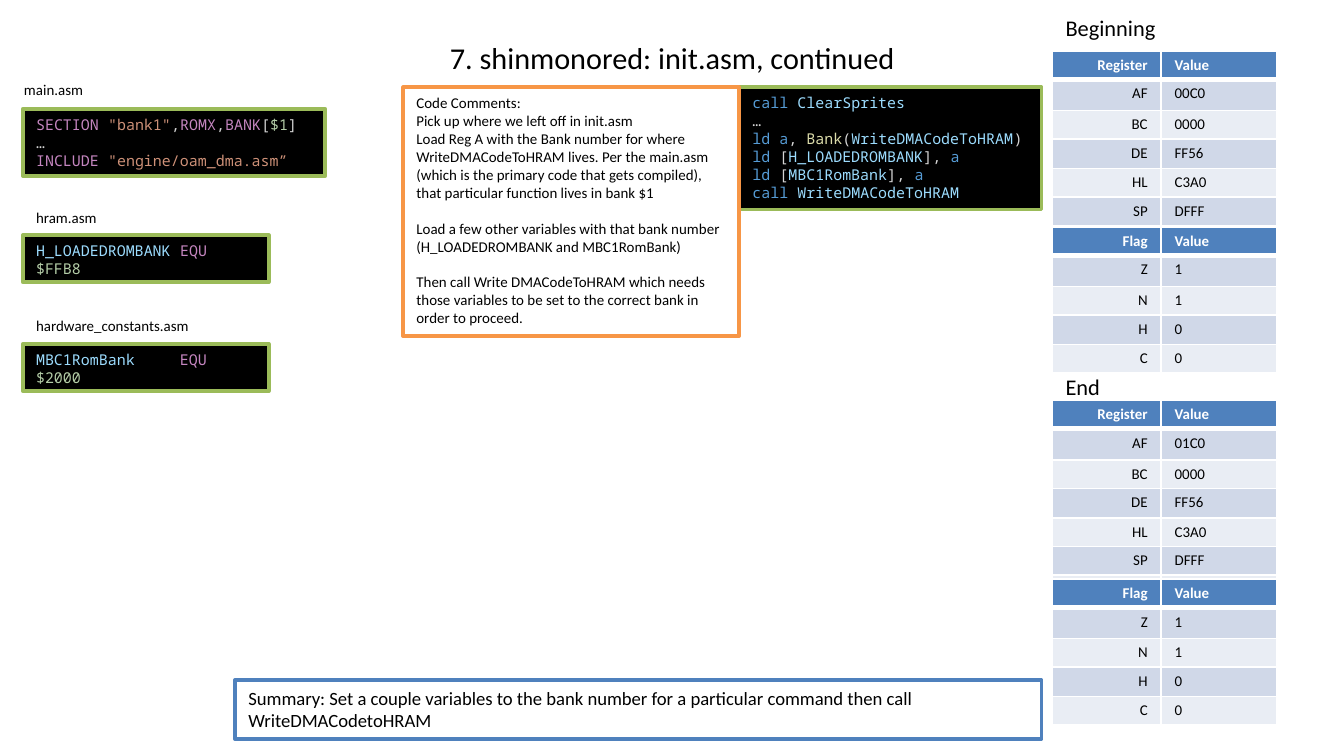
"""Build a slide on assembly start-up code with register and flag tables."""
from lxml import etree
from pptx import Presentation
from pptx.dml.color import RGBColor
from pptx.enum.shapes import MSO_SHAPE
from pptx.enum.text import MSO_ANCHOR, MSO_AUTO_SIZE, PP_ALIGN
from pptx.oxml.ns import qn
from pptx.util import Inches, Pt

RECTANGLE = MSO_SHAPE.RECTANGLE
TOP, MIDDLE = MSO_ANCHOR.TOP, MSO_ANCHOR.MIDDLE
FIT_SHAPE, NO_FIT = MSO_AUTO_SIZE.SHAPE_TO_FIT_TEXT, MSO_AUTO_SIZE.NONE
LEFT, CENTER, RIGHT = PP_ALIGN.LEFT, PP_ALIGN.CENTER, PP_ALIGN.RIGHT
SANS, MONO = "Calibri", "Noto Sans Mono"
COLORS = {
    "black": "000000", "white": "FFFFFF", "blue": "4F81BD", "green": "9BBB59",
    "orange": "F79646", "dark band": "D0D8E8", "light band": "E9EDF4",
    "keyword": "569CD6", "name": "9CDCFE", "plain": "D4D4D4", "function": "DCDCAA",
    "directive": "C586C0", "string": "CE9178", "number": "B5CEA8",
}


def add_run(paragraph, text, color, size=8, font=SANS, bold=False):
    run = paragraph.add_run()
    run.text = text
    run.font.name = font
    run.font.size = Pt(size)
    run.font.bold = bold
    run.font.color.rgb = RGBColor.from_string(COLORS[color])


def add_border(cell, side, width):
    line = etree.SubElement(cell._tc.get_or_add_tcPr(), qn(f"a:{side}"), w=str(Pt(width)))
    fill = etree.SubElement(line, qn("a:solidFill"))
    etree.SubElement(fill, qn("a:srgbClr"), val=COLORS["white"])


presentation = Presentation()
presentation.slide_width = Inches(10)
presentation.slide_height = Inches(10) * 9 // 16
slide = presentation.slides.add_slide(presentation.slide_layouts[5])

title = slide.shapes.title
title.left, title.top, title.width, title.height = map(Inches, (0.5, 0.23, 9, 0.4))
title.text_frame.auto_size = NO_FIT
title.text_frame.vertical_anchor = MIDDLE
title.text_frame.paragraphs[0].alignment = CENTER
add_run(title.text_frame.paragraphs[0], "7. shinmonored: init.asm, continued", "black", 16.2)

flags = [("Flag", "Value"), ("Z", "1"), ("N", "1"), ("H", "0"), ("C", "0")]
other_registers = [("BC", "0000"), ("DE", "FF56"), ("HL", "C3A0"), ("SP", "DFFF")]
tables = [
    (0.38, [("Register", "Value"), ("AF", "00C0"), *other_registers]),
    (1.69, flags),
    (2.98, [("Register", "Value"), ("AF", "01C0"), *other_registers, ("", "")]),
    (4.31, flags),
]
row_heights = [0.21, 0.23, 0.21, 0.22, 0.21, 0.21, 0.21]
for top, rows in tables:
    height = sum(row_heights[:len(rows)])
    frame = slide.shapes.add_table(
        len(rows), 2, Inches(7.83), Inches(top), Inches(1.67), Inches(height))
    table = frame.table
    table.columns[0].width, table.columns[1].width = Inches(0.81), Inches(0.86)
    for row_index, row in enumerate(rows):
        table.rows[row_index].height = Inches(row_heights[row_index])
        is_header = row_index == 0
        band = "blue" if is_header else "dark band" if row_index % 2 else "light band"
        for column_index, text in enumerate(row):
            cell = table.cell(row_index, column_index)
            cell.margin_top = cell.margin_bottom = Inches(0.15) // 4
            for side in ("lnL", "lnR", "lnT", "lnB"):
                thick = (is_header and side == "lnB") or (row_index == 1 and side == "lnT")
                add_border(cell, side, 3 if thick else 1)
            cell.fill.solid()
            cell.fill.fore_color.rgb = RGBColor.from_string(COLORS[band])
            paragraph = cell.text_frame.paragraphs[0]
            paragraph.alignment = LEFT if column_index else RIGHT
            add_run(paragraph, text, "white" if is_header else "black", bold=is_header)

labels = [
    (7.83, 0.06, 0.88, 0.3, 12, "Beginning"),
    (7.83, 2.73, 0.46, 0.3, 12, "End"),
    (0.17, 1.5, 0.66, 0.24, 8, "hram.asm"),
    (0.08, 0.55, 0.65, 0.24, 8, "main.asm"),
    (0.17, 2.31, 1.36, 0.24, 8, "hardware_constants.asm"),
]
for left, top, width, height, size, text in labels:
    label = slide.shapes.add_textbox(*map(Inches, (left, top, width, height)))
    label.text_frame.word_wrap = False
    label.text_frame.auto_size = FIT_SHAPE
    add_run(label.text_frame.paragraphs[0], text, "black", size)

init_code = [
    [("call ", "keyword"), ("ClearSprites", "name")],
    [("…", "plain")],
    [("ld a", "keyword"), (", ", "plain"), ("Bank", "function"), ("(", "plain"),
     ("WriteDMACodeToHRAM", "name"), (")", "plain")],
    *[[("ld", "keyword"), (" [", "plain"), (variable, "name"), ("], ", "plain"),
       ("a", "keyword")] for variable in ("H_LOADEDROMBANK", "MBC1RomBank")],
    [("call ", "keyword"), ("WriteDMACodeToHRAM", "name")],
]
main_code = [
    [("SECTION ", "directive"), ('"bank1"', "string"), (",", "plain"), ("ROMX", "directive"),
     (",", "plain"), ("BANK", "directive"), ("[", "plain"), ("$1", "number"), ("]", "plain")],
    [("…", "plain")],
    [("INCLUDE ", "directive"), ('"engine/oam_dma.asm”', "string")],
]
hram_code = [[("H_LOADEDROMBANK ", "name"), ("EQU ", "directive"), ("$FFB8", "number")]]
constants_code = [[("MBC1RomBank\t", "name"), ("EQU ", "directive"), ("$2000", "number")]]
comments = [[(text, "black")] for text in (
    "Code Comments:",
    "Pick up where we left off in init.asm",
    "Load Reg A with the Bank number for where WriteDMACodeToHRAM lives. Per the main.asm "
    "(which is the primary code that gets compiled), that particular function lives in bank $1",
    "Load a few other variables with that bank number (H_LOADEDROMBANK and MBC1RomBank)",
    "Then call Write DMACodeToHRAM which needs those variables to be set to the correct "
    "bank in order to proceed.",
)]
summary = [[("Summary: Set a couple variables to the bank number for a particular command "
             "then call WriteDMACodetoHRAM", "black")]]
boxes = [
    (5.5, 0.65, 2.25, 0.91, "black", "green", MONO, 8, init_code),
    (3, 0.65, 2.5, 1.85, "white", "orange", SANS, 8, comments),
    (1.75, 5.06, 6, 0.44, "white", "blue", SANS, 10, summary),
    (0.17, 1.75, 1.83, 0.35, "black", "green", MONO, 8, hram_code),
    (0.17, 0.81, 2.25, 0.5, "black", "green", MONO, 8, main_code),
    (0.17, 2.56, 1.83, 0.35, "black", "green", MONO, 8, constants_code),
]
for left, top, width, height, fill, line, font, size, paragraphs in boxes:
    box = slide.shapes.add_shape(RECTANGLE, *map(Inches, (left, top, width, height)))
    box.shadow.inherit = False
    box.fill.solid()
    box.fill.fore_color.rgb = RGBColor.from_string(COLORS[fill])
    box.line.color.rgb = RGBColor.from_string(COLORS[line])
    box.line.width = Pt(2)
    text_frame = box.text_frame
    text_frame.word_wrap = True
    text_frame.auto_size = FIT_SHAPE
    text_frame.vertical_anchor = TOP
    for index, runs in enumerate(paragraphs):
        paragraph = text_frame.add_paragraph() if index else text_frame.paragraphs[0]
        paragraph.alignment = LEFT
        if paragraphs is comments and index >= 3:
            paragraph.space_before = Pt(9.6)
        if paragraphs is constants_code:
            tabs = etree.SubElement(paragraph._p.get_or_add_pPr(), qn("a:tabLst"))
            etree.SubElement(tabs, qn("a:tab"), pos=str(Inches(1.07)), algn="l")
        for text, color in runs:
            add_run(paragraph, text, color, size, font)

presentation.save("out.pptx")
